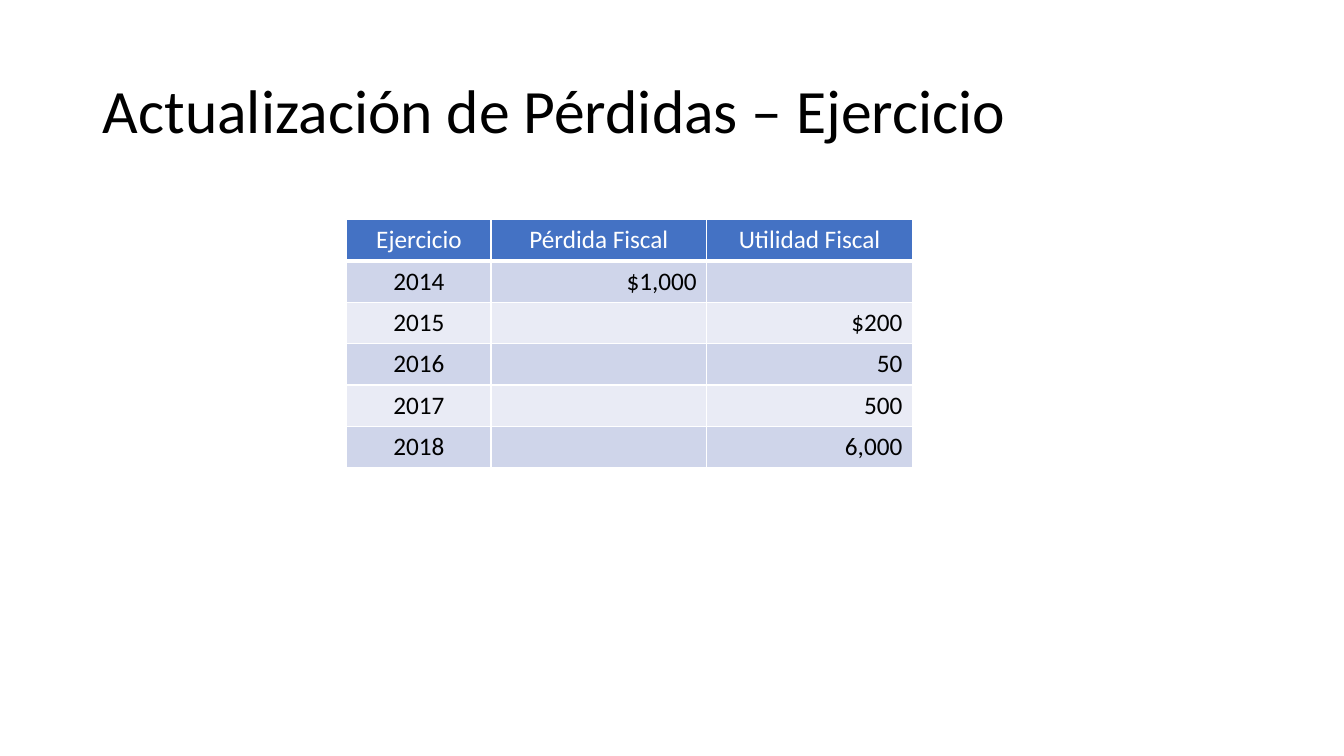
from dataclasses import dataclass

from lxml.etree import SubElement
from pptx import Presentation
from pptx.dml.color import RGBColor
from pptx.enum.text import MSO_ANCHOR as Anchor, PP_ALIGN as Align
from pptx.oxml.ns import qn
from pptx.slide import Slide
from pptx.table import _Cell as Cell
from pptx.text.text import TextFrame
from pptx.util import Inches, Pt


@dataclass(frozen=True)
class Theme:
    font: str = "Calibri"
    title_size: int = 44
    table_size: int = 18
    ink: str = "000000"
    white: str = "FFFFFF"
    header: str = "4472C4"
    bands: tuple[str, str] = ("CFD5EA", "E9EBF5")
    border: int = 1
    header_border: int = 3


@dataclass(frozen=True)
class Column:
    heading: str
    width: float
    align: Align


@dataclass(frozen=True)
class FiscalYear:
    year: str
    loss: str = ""
    profit: str = ""


THEME = Theme()
COLUMNS = (
    Column("Ejercicio", 1.43, Align.CENTER),
    Column("Pérdida Fiscal", 2.14, Align.RIGHT),
    Column("Utilidad Fiscal", 2.04, Align.RIGHT),
)
YEARS = (
    FiscalYear("2014", loss="$1,000"),
    FiscalYear("2015", profit="$200"),
    FiscalYear("2016", profit="50"),
    FiscalYear("2017", profit="500"),
    FiscalYear("2018", profit="6,000"),
)
ROW_HEIGHT = 0.41


def write(frame: TextFrame, text: str, *, size: int, color: str,
          align: Align, line_spacing: float = 1.0) -> None:
    para = frame.paragraphs[0]
    para.alignment = align
    para.line_spacing = line_spacing
    if not text:
        para.font.size = Pt(size)
        return
    span = para.add_run()
    span.text = text
    span.font.name = THEME.font
    span.font.size = Pt(size)
    span.font.bold = False
    span.font.color.rgb = RGBColor.from_string(color)


def add_borders(cell: Cell, bottom: int) -> None:
    properties = cell._tc.get_or_add_tcPr()
    widths = {"L": THEME.border, "R": THEME.border, "T": THEME.border, "B": bottom}
    for side, width in widths.items():
        line = SubElement(properties, qn(f"a:ln{side}"), w=str(Pt(width)))
        fill = SubElement(line, qn("a:solidFill"))
        SubElement(fill, qn("a:srgbClr"), val=THEME.white)


def fill_cell(cell: Cell, text: str, *, fill: str, color: str, align: Align,
              bottom: int = THEME.border) -> None:
    add_borders(cell, bottom)
    cell.fill.solid()
    cell.fill.fore_color.rgb = RGBColor.from_string(fill)
    write(cell.text_frame, text, size=THEME.table_size, color=color, align=align)


def add_title(page: Slide, text: str) -> None:
    title = page.shapes.title
    title.left, title.top = Inches(0.92), Inches(0.4)
    title.width, title.height = Inches(11.5), Inches(1.45)
    title.text_frame.vertical_anchor = Anchor.MIDDLE
    write(title.text_frame, text, size=THEME.title_size, color=THEME.ink,
          align=Align.LEFT, line_spacing=0.9)


def add_fiscal_table(page: Slide) -> None:
    row_count = len(YEARS) + 1
    width = sum(column.width for column in COLUMNS)
    table = page.shapes.add_table(
        row_count, len(COLUMNS), Inches(3.44), Inches(2.18),
        Inches(width), Inches(ROW_HEIGHT * row_count)).table
    for row in table.rows:
        row.height = Inches(ROW_HEIGHT)
    for index, column in enumerate(COLUMNS):
        table.columns[index].width = Inches(column.width)
        fill_cell(table.cell(0, index), column.heading, fill=THEME.header,
                  color=THEME.white, align=Align.CENTER, bottom=THEME.header_border)
    for row_index, entry in enumerate(YEARS):
        values = (entry.year, entry.loss, entry.profit)
        for index, (column, value) in enumerate(zip(COLUMNS, values)):
            fill_cell(table.cell(row_index + 1, index), value,
                      fill=THEME.bands[row_index % 2], color=THEME.ink,
                      align=column.align)


def main() -> None:
    deck = Presentation()
    deck.slide_width, deck.slide_height = Inches(13.33), Inches(7.5)
    page = deck.slides.add_slide(deck.slide_layouts.get_by_name("Title Only"))
    add_title(page, "Actualización de Pérdidas – Ejercicio")
    add_fiscal_table(page)
    deck.save("out.pptx")


if __name__ == "__main__":
    main()
